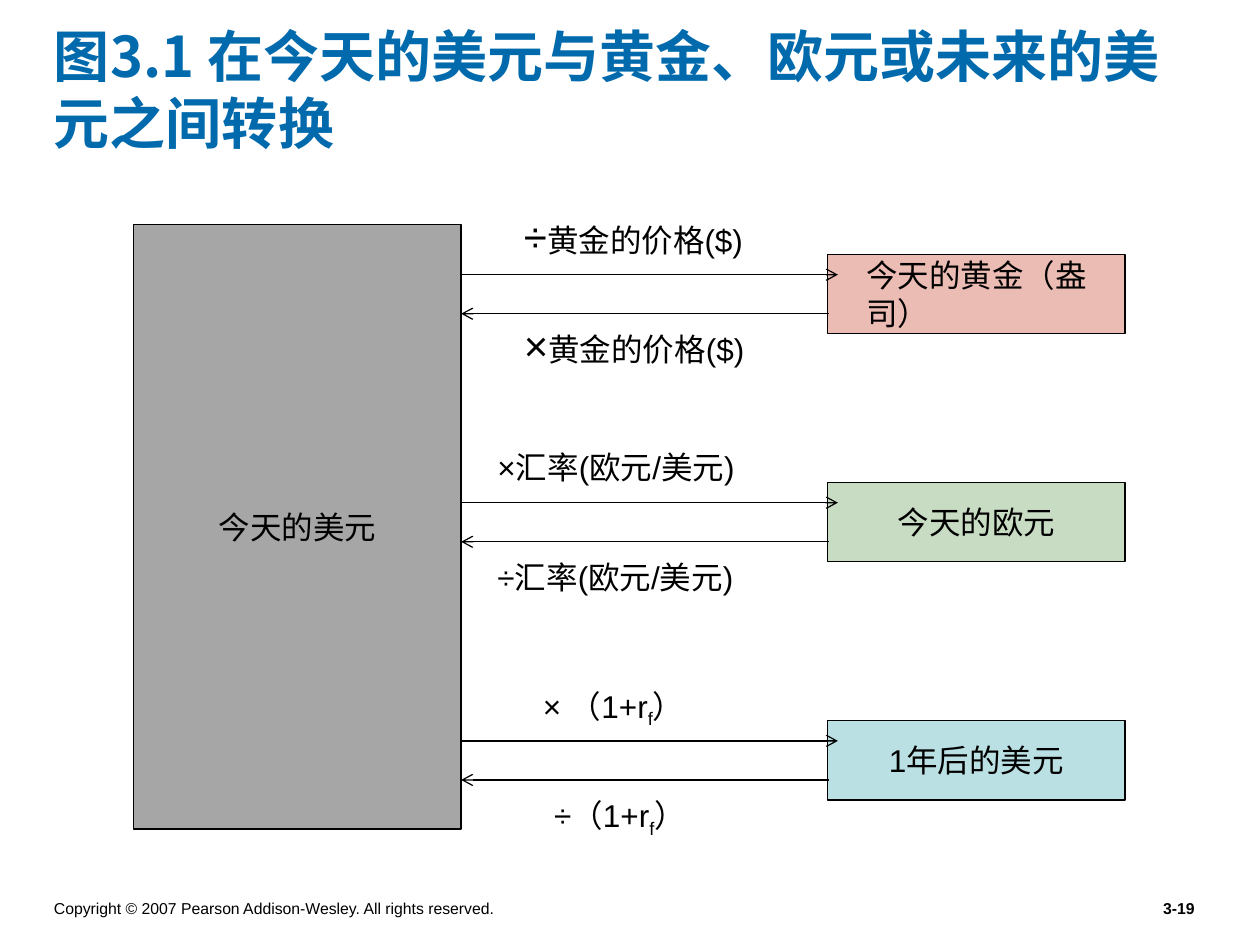
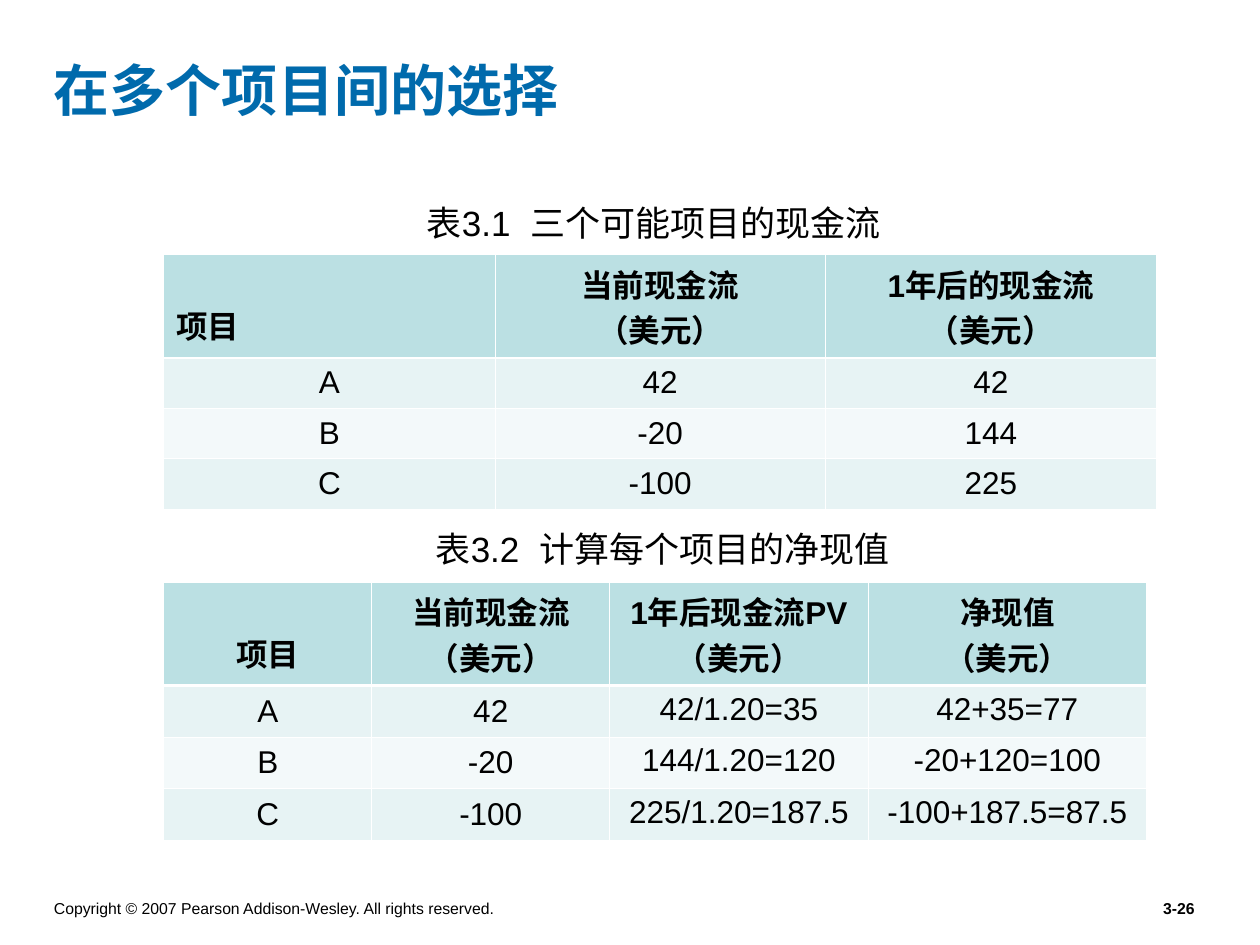
from lxml import etree
from pptx import Presentation
from pptx.dml.color import RGBColor
from pptx.enum.shapes import MSO_CONNECTOR, MSO_SHAPE
from pptx.enum.text import MSO_ANCHOR, PP_ALIGN
from pptx.oxml.ns import qn
from pptx.util import Inches, Pt

BLACK, WHITE, BLUE = "000000", "FFFFFF", "006AAC"
GRAY, PINK, GREEN, TEAL = "A6A6A6", "EBBCB3", "C7DCC2", "BBE0E3"
BANDS = ("E7F3F4", "F3F9FA")
FONT, TITLE_FONT = "Arial", "Noto Sans CJK JP"
COPYRIGHT = "Copyright © 2007 Pearson Addison-Wesley. All rights reserved."


def rgb(value):
    """Turn a hex string into a colour."""
    return RGBColor.from_string(value)


def style(font, size, color=BLACK, bold=False, name=FONT):
    """Set the usual properties of a font."""
    font.size, font.bold, font.name = Pt(size), bold, name
    font.color.rgb = rgb(color)


def add_text(s, box, text, size=18, color=BLACK, bold=False, name=FONT,
             align=PP_ALIGN.LEFT, anchor=MSO_ANCHOR.TOP):
    """Add a one-paragraph text box and return its paragraph."""
    tf = s.shapes.add_textbox(*map(Inches, box)).text_frame
    tf.word_wrap, tf.vertical_anchor = True, anchor
    p = tf.paragraphs[0]
    p.text, p.alignment = text, align
    style(p.font, size, color, bold, name)
    return p


def add_slide(prs, title, number, title_font=FONT):
    """Add a slide with its title and footer."""
    s = prs.slides.add_slide(prs.slide_layouts[6])
    add_text(s, (0.33, 7.08, 4.33, 0.25), COPYRIGHT, 9, anchor=MSO_ANCHOR.BOTTOM)
    add_text(s, (7.5, 7.08, 2.08, 0.25), number, 9, bold=True, align=PP_ALIGN.RIGHT)
    add_text(s, (0.33, 0.08, 9.25, 1.25), title, 32, BLUE, True, title_font,
             anchor=MSO_ANCHOR.MIDDLE)
    return s


def add_box(s, box, text, fill):
    """Add a filled rectangle whose text block sits in the centre."""
    sp = s.shapes.add_shape(MSO_SHAPE.RECTANGLE, *map(Inches, box))
    sp.shadow.inherit = False
    sp.fill.solid()
    sp.fill.fore_color.rgb = rgb(fill)
    sp.line.color.rgb, sp.line.width = rgb(BLACK), Pt(0.75)
    tf = sp.text_frame
    tf.word_wrap, tf.vertical_anchor = True, MSO_ANCHOR.MIDDLE
    tf._txBody.bodyPr.set("anchorCtr", "1")
    p = tf.paragraphs[0]
    p.text, p.alignment = text, PP_ALIGN.LEFT
    style(p.font, 18)


def add_arrow(s, x1, x2, y):
    """Add a horizontal arrow from x1 to x2."""
    line = s.shapes.add_connector(MSO_CONNECTOR.STRAIGHT, *map(Inches, (x1, y, x2, y)))
    line.line.color.rgb, line.line.width = rgb(BLACK), Pt(0.75)
    etree.SubElement(line.line._get_or_add_ln(), qn("a:tailEnd"), type="arrow")
    etree.SubElement(line._element.spPr, qn("a:effectLst"))


def add_price_label(s, x, y, sign):
    """Add a gold price label with a large operator."""
    p = add_text(s, (x, y, 2.28, 0.5), sign)
    p.runs[0].font.size = Pt(24)
    p.add_run().text = "黄金的价格($)"


def add_rate_label(s, x, y, sign):
    """Add an exchange rate label."""
    add_text(s, (x, y, 2.6, 0.4), sign + "汇率(欧元/美元)")


def add_interest_label(s, x, y, sign):
    """Add an interest factor label with a subscript."""
    p = add_text(s, (x, y, 1.7, 0.44), sign + "（1+r")
    r = p.add_run()
    r.text = "f"
    r.font._element.set("baseline", "-25000")
    p.add_run().text = "）"


def add_caption(s, x, y, text):
    """Add a table caption on one line."""
    add_text(s, (x, y, 4.3, 0.44), text, 20)


def add_conversion(s, y, target, fill, label, above, below):
    """Add a target box, its two arrows and the labels around them."""
    add_box(s, (6.57, y, 2.36, 0.63), target, fill)
    add_arrow(s, 3.66, 6.65, y + 0.16)
    add_arrow(s, 6.58, 3.66, y + 0.47)
    for x, offset, sign in (above, below):
        label(s, x, y + offset, sign)


def set_borders(cell, widths):
    """Draw white cell borders, widths in points by side."""
    tcPr = cell._tc.get_or_add_tcPr()
    for i, (side, width) in enumerate(widths.items()):
        ln = etree.Element(qn("a:ln" + side), w=str(Pt(width)))
        fill = etree.SubElement(ln, qn("a:solidFill"))
        etree.SubElement(fill, qn("a:srgbClr"), val=WHITE)
        tcPr.insert(i, ln)


def add_table(s, x, y, widths, heights, rows, top_columns=(), first_align=PP_ALIGN.CENTER):
    """Add a banded table; body cells of top_columns are anchored at the top."""
    table = s.shapes.add_table(len(rows), len(widths), Inches(x), Inches(y),
                               Inches(sum(widths)), Inches(sum(heights))).table
    for column, width in zip(table.columns, widths):
        column.width = Inches(width)
    for i, (row, height) in enumerate(zip(rows, heights)):
        table.rows[i].height = Inches(height)
        for j, text in enumerate(row):
            cell = table.cell(i, j)
            top = i > 0 and j in top_columns
            cell.vertical_anchor = MSO_ANCHOR.TOP if top else MSO_ANCHOR.MIDDLE
            if j > 0:
                cell.margin_left = cell.margin_right = Inches(0.06)
            cell.fill.solid()
            cell.fill.fore_color.rgb = rgb(BANDS[(i - 1) % 2] if i else TEAL)
            set_borders(cell, {"L": 0.45, "R": 0.45, "T": 1.47 if i == 1 else 0.45,
                               "B": 0.45 if i else 1.47})
            cell.text = text
            for p in cell.text_frame.paragraphs:
                p.alignment = PP_ALIGN.CENTER
                style(p.font, 18, bold=i == 0)
    corner = table.cell(0, 0)
    corner.vertical_anchor, corner.margin_bottom = MSO_ANCHOR.BOTTOM, Inches(0.08)
    corner.text_frame.paragraphs[0].alignment = first_align


def build_conversions(prs):
    """Build the diagram of conversions from dollars today."""
    s = add_slide(prs, "图3.1 在今天的美元与黄金、欧元或未来的美元之间转换", "3-19", TITLE_FONT)
    add_box(s, (1.06, 1.78, 2.6, 4.8), "今天的美元", GRAY)
    add_conversion(s, 2.02, "今天的黄金（盎司）", PINK, add_price_label,
                   (4.06, -0.4, "÷"), (4.06, 0.47, "×"))
    add_conversion(s, 3.83, "今天的欧元", GREEN, add_rate_label,
                   (3.85, -0.32, "×"), (3.85, 0.55, "÷"))
    add_conversion(s, 5.72, "1年后的美元", TEAL, add_interest_label,
                   (4.21, -0.32, "× "), (4.3, 0.55, "÷"))


def build_projects(prs):
    """Build the two tables that compare projects."""
    s = add_slide(prs, "在多个项目间的选择", "3-26")
    add_table(s, 1.3, 2.02, (2.63, 2.62, 2.63), (0.82, 0.4, 0.4, 0.4),
              (("项目", "当前现金流\n（美元）", "1年后的现金流\n（美元）"),
               ("A", "42", "42"),
               ("B", "-20", "144"),
               ("C", "-100", "225")), first_align=PP_ALIGN.LEFT)
    add_table(s, 1.3, 4.62, (1.65, 1.89, 2.05, 2.21), (0.82, 0.41, 0.41, 0.41),
              (("项目", "当前现金流\n（美元）", "1年后现金流PV\n（美元）", "净现值\n（美元）"),
               ("A", "42", "42/1.20=35", "42+35=77"),
               ("B", "-20", "144/1.20=120", "-20+120=100"),
               ("C", "-100", "225/1.20=187.5", "-100+187.5=87.5")), top_columns=(2, 3))
    add_caption(s, 3.29, 1.55, "表3.1  三个可能项目的现金流")
    add_caption(s, 3.36, 4.14, "表3.2  计算每个项目的净现值")


def main():
    """Build and save the presentation."""
    prs = Presentation()
    prs.slide_width, prs.slide_height = Inches(10), Inches(7.5)
    build_conversions(prs)
    build_projects(prs)
    prs.save("out.pptx")


if __name__ == "__main__":
    main()
